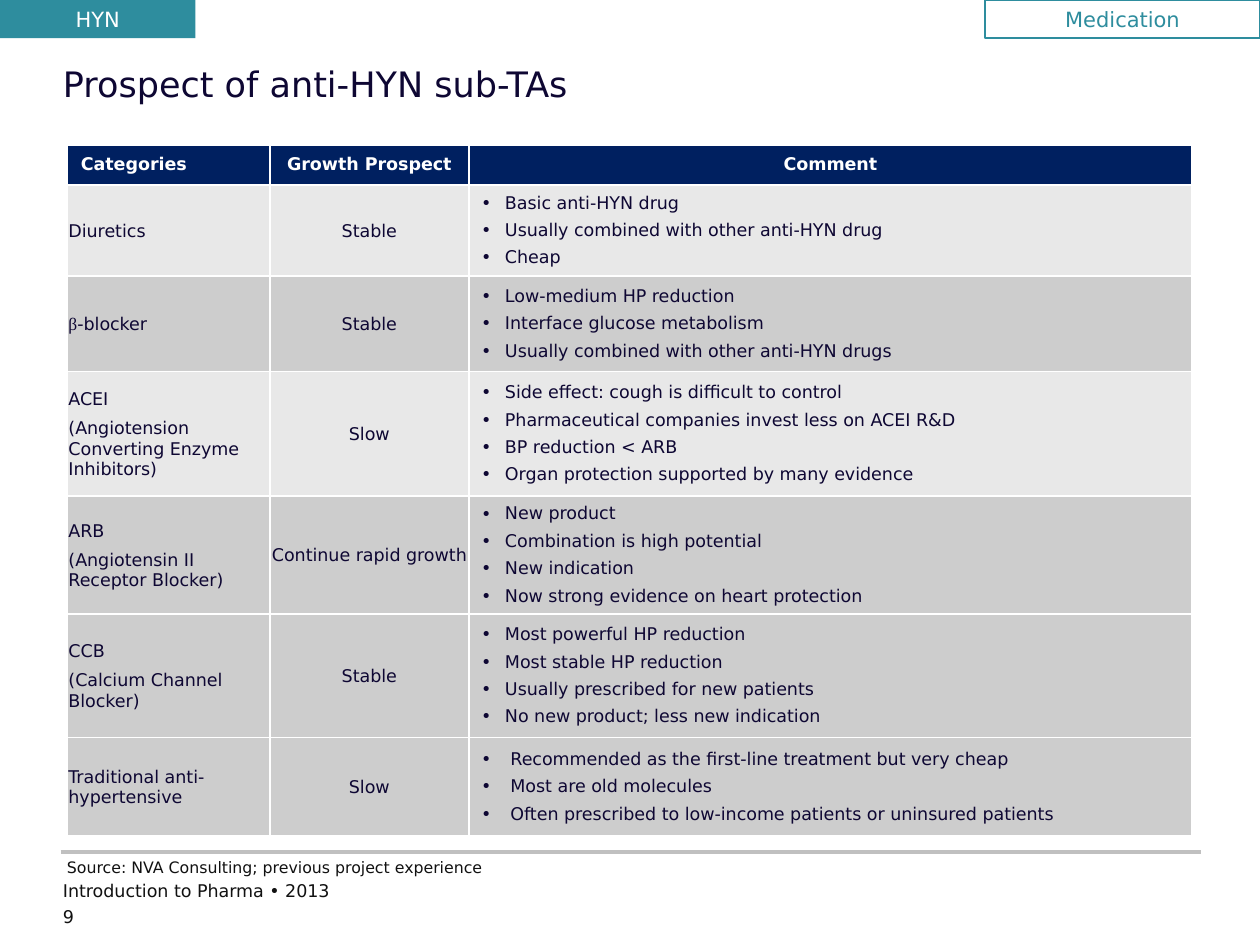
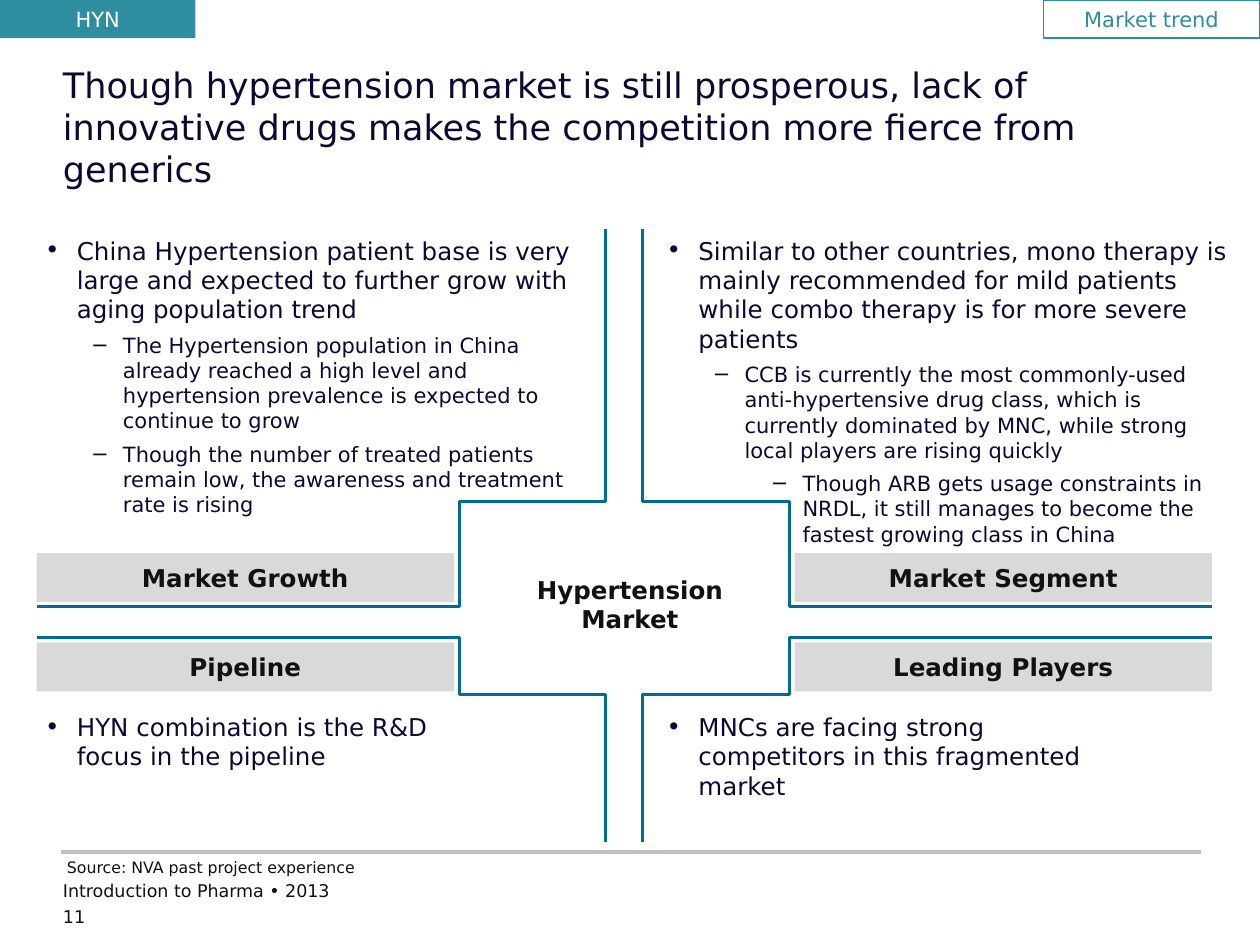
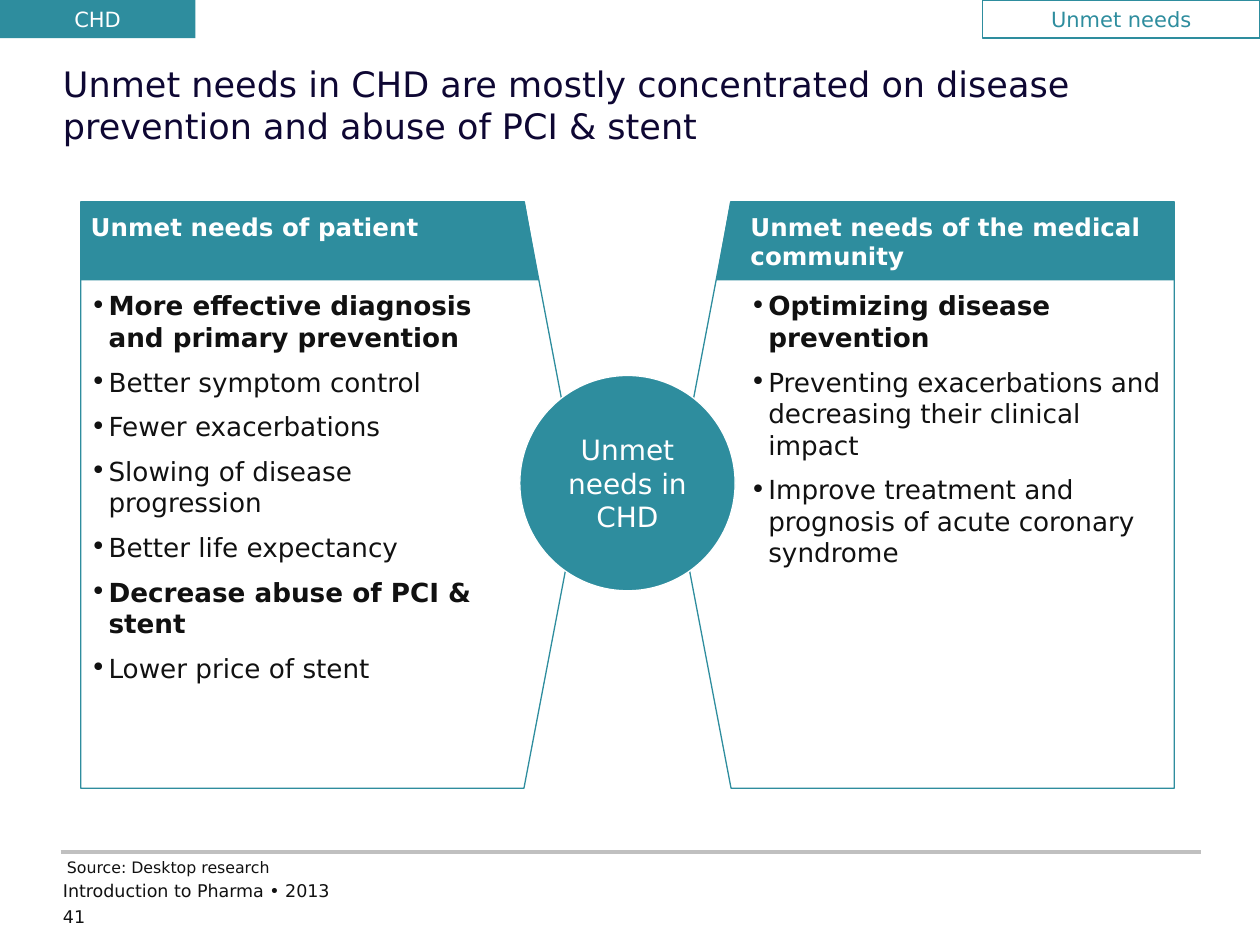
import dataclasses

import lxml.etree
import pptx
import pptx.dml.color
import pptx.enum.shapes
import pptx.enum.text
import pptx.oxml.ns
import pptx.util

Cm = pptx.util.Cm
Shapes = pptx.enum.shapes.MSO_SHAPE
Align = pptx.enum.text.PP_ALIGN
Anchor = pptx.enum.text.MSO_ANCHOR
qn = pptx.oxml.ns.qn


@dataclasses.dataclass(frozen=True)
class Theme:
    font: str = "DejaVu Sans"
    symbol_font: str = "Times New Roman"
    ink: str = "111111"
    navy: str = "0E0733"
    teal: str = "2E8D9E"
    frame: str = "006C96"
    header: str = "002060"
    row_light: str = "E8E8E8"
    row_dark: str = "CDCDCD"
    label: str = "D9D9D9"
    rule: str = "C0C0C0"
    white: str = "FFFFFF"
    title_size: float = 20
    hub_size: float = 16
    needs_size: float = 15
    point_size: float = 14
    detail_size: float = 12
    table_size: float = 10
    source_size: float = 9


THEME = Theme()


@dataclasses.dataclass(frozen=True)
class Box:
    """A rectangle in centimetres."""
    left: float
    top: float
    width: float
    height: float

    @property
    def right(self):
        return self.left + self.width

    def inner(self, dx, dy, width, height):
        return Box(self.left + dx, self.top + dy, width, height)

    def emu(self):
        return [Cm(v) for v in (self.left, self.top, self.width, self.height)]


@dataclasses.dataclass(frozen=True)
class Line:
    """One paragraph; margin and hang are in centimetres, gap in points."""
    text: str
    size: float
    color: str = THEME.ink
    bold: bool = False
    align: Align = Align.LEFT
    marker: str = ""
    marker_color: str = THEME.ink
    margin: float = 0
    hang: float = 0
    level: int = 0
    gap: float = 0
    symbol: str = ""


PAGE = Box(0, 0, 25.4, 19.05)
CONTENT = Box(1.35, 2.92, 22.68, 13.92)


def rgb(color):
    return pptx.dml.color.RGBColor.from_string(color)


def set_marker(paragraph, line):
    properties = paragraph._p.get_or_add_pPr()
    properties.set("marL", str(Cm(line.margin)))
    properties.set("indent", str(-Cm(line.hang)))
    color = lxml.etree.SubElement(properties, qn("a:buClr"))
    lxml.etree.SubElement(color, qn("a:srgbClr"), val=line.marker_color)
    lxml.etree.SubElement(properties, qn("a:buFont"), typeface=THEME.font)
    lxml.etree.SubElement(properties, qn("a:buChar"), char=line.marker)


def write(frame, lines):
    for index, line in enumerate(lines):
        paragraph = frame.add_paragraph() if index else frame.paragraphs[0]
        paragraph.text = line.symbol or line.text
        if line.symbol:
            paragraph.add_run().text = line.text
        if line.marker:
            set_marker(paragraph, line)
        paragraph.alignment = line.align
        paragraph.level = line.level
        paragraph.space_before = pptx.util.Pt(line.gap if index else 0)
        for run in paragraph.runs:
            run.font.name = THEME.font
            run.font.size = pptx.util.Pt(line.size)
            run.font.bold = line.bold
            run.font.color.rgb = rgb(line.color)
        if line.symbol:
            paragraph.runs[0].font.name = THEME.symbol_font


def set_margins(holder, left, top, right, bottom):
    holder.margin_left, holder.margin_top = Cm(left), Cm(top)
    holder.margin_right, holder.margin_bottom = Cm(right), Cm(bottom)


def add_text(slide, box, lines, inset=0, wrap=True):
    frame = slide.shapes.add_textbox(*box.emu()).text_frame
    frame.word_wrap = wrap
    set_margins(frame, inset, inset, inset, inset)
    write(frame, lines)


def paint(shape, fill=None, outline=None, weight=0.75):
    shape.shadow.inherit = False
    if fill:
        shape.fill.solid()
        shape.fill.fore_color.rgb = rgb(fill)
    else:
        shape.fill.background()
    if outline:
        shape.line.color.rgb = rgb(outline)
        shape.line.width = pptx.util.Pt(weight)
    else:
        shape.line.fill.background()


def add_block(slide, kind, box, line=None, fill=None, outline=None, inset=0.1):
    block = slide.shapes.add_shape(kind, *box.emu())
    paint(block, fill, outline)
    if line:
        frame = block.text_frame
        frame.word_wrap = True
        frame.vertical_anchor = Anchor.MIDDLE
        set_margins(frame, inset, inset, inset, inset)
        write(frame, [line])
    return block


def add_outline(slide, points, closed, **style):
    (x, y), *rest = [(Cm(px), Cm(py)) for px, py in points]
    builder = slide.shapes.build_freeform(x, y)
    builder.add_line_segments(rest, close=closed)
    paint(builder.convert_to_shape(), **style)


def centred(text, size, color=THEME.ink, bold=False):
    return Line(text, size, color, bold, Align.CENTER)


def add_footer(slide, box, source, source_width, number):
    rule = slide.shapes.add_connector(
        pptx.enum.shapes.MSO_CONNECTOR.STRAIGHT,
        Cm(box.left), Cm(box.top), Cm(box.right), Cm(box.top))
    rule.line.color.rgb = rgb(THEME.rule)
    rule.line.width = pptx.util.Pt(2)
    lxml.etree.SubElement(rule._element.spPr, qn("a:effectLst"))
    add_text(slide, box.inner(0.13, 0.13, source_width, 0.38),
             [Line(source, THEME.source_size)], wrap=False)
    add_text(slide, box.inner(0.05, 0.58, 16.97, 0.58),
             [Line("Introduction to Pharma • 2013", THEME.table_size)])
    add_text(slide, box.inner(0.05, 1.09, 1.22, 0.51),
             [Line(number, THEME.table_size)])


def new_slide(deck, section, topic, topic_width, title, source, source_width, number):
    """Add a slide with the parts that all slides share."""
    slide = deck.slides.add_slide(deck.slide_layouts[6])
    add_block(slide, Shapes.RECTANGLE, PAGE.inner(0, 0, 3.94, 0.77),
              centred(section, THEME.detail_size, THEME.white), THEME.teal)
    add_block(slide, Shapes.RECTANGLE,
              PAGE.inner(PAGE.width - topic_width, 0, topic_width, 0.77),
              centred(topic, THEME.detail_size, THEME.teal), outline=THEME.teal)
    add_text(slide, PAGE.inner(1.27, 1.27, 22.86, 2.54),
             [Line(title, THEME.title_size, THEME.navy)])
    add_footer(slide, PAGE.inner(1.22, 17.17, 22.99, 1.7),
               source, source_width, number)
    return slide


def style_cell(cell, lines, fill, margins):
    cell.fill.solid()
    cell.fill.fore_color.rgb = rgb(fill)
    cell.vertical_anchor = Anchor.MIDDLE
    set_margins(cell, *margins)
    write(cell.text_frame, lines)
    properties = cell._tc.get_or_add_tcPr()
    for index, side in enumerate(("lnL", "lnR", "lnT", "lnB")):
        border = lxml.etree.Element(qn("a:" + side), w=str(pptx.util.Pt(1)))
        solid = lxml.etree.SubElement(border, qn("a:solidFill"))
        lxml.etree.SubElement(solid, qn("a:srgbClr"), val=THEME.white)
        properties.insert(index, border)


# Row height, category lines, prospect, comments, fill, comment margin
PROSPECTS = [
    (1.83, ["Diuretics"], "Stable",
     ["Basic anti-HYN drug", "Usually combined with other anti-HYN drug", "Cheap"],
     THEME.row_light, 0.48),
    (1.93, ["β-blocker"], "Stable",
     ["Low-medium HP reduction", "Interface glucose metabolism",
      "Usually combined with other anti-HYN drugs"],
     THEME.row_dark, 0.48),
    (2.51, ["ACEI", "(Angiotension Converting Enzyme Inhibitors)"], "Slow",
     ["Side effect: cough is difficult to control",
      "Pharmaceutical companies invest less on ACEI R&D",
      "BP reduction < ARB", "Organ protection supported by many evidence"],
     THEME.row_light, 0.48),
    (2.37, ["ARB", "(Angiotensin II Receptor Blocker)"], "Continue rapid growth",
     ["New product", "Combination is high potential", "New indication",
      "Now strong evidence on heart protection"],
     THEME.row_dark, 0.48),
    (2.49, ["CCB", "(Calcium Channel Blocker)"], "Stable",
     ["Most powerful HP reduction", "Most stable HP reduction",
      "Usually prescribed for new patients", "No new product; less new indication"],
     THEME.row_dark, 0.48),
    (1.98, ["Traditional anti-hypertensive"], "Slow",
     ["Recommended as the first-line treatment but very cheap",
      "Most are old molecules",
      "Often prescribed to low-income patients or uninsured patients"],
     THEME.row_dark, 0.59),
]


def category_line(text):
    symbol = "β" if text.startswith("β") else ""
    return Line(text.removeprefix("β"), THEME.table_size, THEME.navy,
                gap=THEME.table_size / 2, symbol=symbol)


def add_prospect_table(slide, box):
    size = THEME.table_size
    table = slide.shapes.add_table(len(PROSPECTS) + 1, 3, *box.emu()).table
    for column, width in zip(table.columns, (4.09, 4.01, 14.58)):
        column.width = Cm(width)
    table.rows[0].height = Cm(0.81)
    headings = [("Categories", Align.LEFT), ("Growth Prospect", Align.CENTER),
                ("Comment", Align.CENTER)]
    for column, (heading, align) in enumerate(headings):
        style_cell(table.cell(0, column),
                   [Line(heading, size, THEME.white, True, align)],
                   THEME.header, (0.28, 0.13, 0.28, 0.13))
    for row, (height, category, prospect, comments, fill, margin) in enumerate(PROSPECTS, 1):
        table.rows[row].height = Cm(height)
        tight = (0.03, 0.03, 0.03, 0)
        style_cell(table.cell(row, 0), [category_line(t) for t in category], fill, tight)
        style_cell(table.cell(row, 1), [centred(prospect, size, THEME.navy)], fill, tight)
        style_cell(table.cell(row, 2),
                   [Line(comment, size, THEME.navy, marker="•",
                         marker_color=THEME.navy, margin=margin, hang=margin, gap=4)
                    for comment in comments],
                   fill, (0.25, 0.13, 0.03, 0.13))


def point(text):
    return Line(text, THEME.point_size, THEME.navy, marker="•",
                marker_color=THEME.navy, margin=0.64, hang=0.64)


def detail(text, margin=1.57):
    return Line(text, THEME.detail_size, THEME.navy, marker="−", margin=margin,
                hang=0.64, level=1, gap=THEME.detail_size * 0.4)


# Label, side (-1 left, 1 right), is upper, text width, text height, lines
QUADRANTS = [
    ("Market Growth", -1, True, 10.64, 4.98, [
        point("China Hypertension patient base is very large and expected to "
              "further grow with aging population trend"),
        detail("The Hypertension population in China already reached a high level "
               "and hypertension prevalence is expected to continue to grow"),
        detail("Though the number of treated patients remain low, the awareness "
               "and treatment rate is rising")]),
    ("Market Segment", 1, True, 11.33, 6.81, [
        point("Similar to other countries, mono therapy is mainly recommended for "
              "mild patients while combo therapy is for more severe patients"),
        detail("CCB is currently the most commonly-used anti-hypertensive drug "
               "class, which is currently dominated by MNC, while strong local "
               "players are rising quickly"),
        detail("Though ARB gets usage constraints in NRDL, it still manages to "
               "become the fastest growing class in China", 2.74)]),
    ("Pipeline", -1, False, 8.92, 2.57,
     [point("HYN combination is the R&D focus in the pipeline")]),
    ("Leading Players", 1, False, 8.92, 2.57,
     [point("MNCs are facing strong competitors in this fragmented market")]),
]


def add_quadrant(slide, box, label, side, upper, width, height, lines):
    """Draw a stepped frame line, its label bar and its text."""
    centre = box.left + box.width / 2
    arm, step, end, label_dy, text_dy = (
        (7.6, 5.49, 0, 6.53, 0.13) if upper else (8.24, 9.38, 12.35, 8.33, 9.73))
    steps = [(box.width / 2, arm), (3.33, arm), (3.33, step), (0.37, step), (0.37, end)]
    add_outline(slide, [(centre + side * dx, box.top + dy) for dx, dy in steps],
                closed=False, outline=THEME.frame, weight=1.75)
    label_width = 8.41
    add_block(slide, Shapes.RECTANGLE,
              box.inner(0 if side < 0 else box.width - label_width,
                        label_dy, label_width, 0.99),
              centred(label, THEME.point_size, bold=True), THEME.label)
    add_text(slide, box.inner(0.17 if side < 0 else 12.7, text_dy, width, height), lines)


def add_market_cross(slide, box):
    for quadrant in QUADRANTS:
        add_quadrant(slide, box, *quadrant)
    add_text(slide, box.inner(9.47, 6.84, 4.98, 1.35),
             [centred("Hypertension Market", THEME.point_size, bold=True)], inset=0.13)


# Heading, then needs with their emphasis
PATIENT_NEEDS = ("Unmet needs of patient", [
    ("More effective diagnosis and primary prevention", True),
    ("Better symptom control", False),
    ("Fewer exacerbations", False),
    ("Slowing of disease progression", False),
    ("Better life expectancy", False),
    ("Decrease abuse of PCI & stent", True),
    ("Lower price of stent", False)])
MEDICAL_NEEDS = ("Unmet needs of the medical community", [
    ("Optimizing disease prevention", True),
    ("Preventing exacerbations and decreasing their clinical impact", False),
    ("Improve treatment and prognosis of acute coronary syndrome", False)])


def add_needs_panel(slide, box, heading, needs, mirrored=False):
    """Draw a panel pointing right, or left when mirrored."""
    panel = add_block(slide, Shapes.PENTAGON, box, fill=THEME.white, outline=THEME.teal)
    panel.adjustments[0] = 0.112
    panel.rotation = 180 if mirrored else 0
    header_height, text_width = 1.57, 8.74
    corners = [(0, 0), (8.94, 0), (9.22, header_height), (0, header_height)]
    add_outline(slide,
                [(box.right - dx if mirrored else box.left + dx, box.top + dy)
                 for dx, dy in corners],
                closed=True, fill=THEME.teal, outline=THEME.teal)
    text_dx = box.width - text_width if mirrored else 0
    add_text(slide, box.inner(text_dx, 0, text_width, header_height),
             [Line(heading, THEME.point_size, THEME.white, True)], inset=0.2)
    add_text(slide, box.inner(text_dx, header_height, text_width, 8.74),
             [Line(need, THEME.needs_size, bold=bold, marker="•", margin=0.36,
                   hang=0.36, gap=THEME.needs_size / 2) for need, bold in needs],
             inset=0.2)


def add_unmet_needs(slide, box):
    panel_width, hub = 10.06, 4.34
    add_needs_panel(slide, box.inner(0, 0, panel_width, box.height), *PATIENT_NEEDS)
    add_needs_panel(slide, box.inner(box.width - panel_width, 0, panel_width, box.height),
                    *MEDICAL_NEEDS, mirrored=True)
    add_block(slide, Shapes.OVAL,
              box.inner((box.width - hub) / 2, 3.5, hub, hub),
              centred("Unmet needs in CHD", THEME.hub_size, THEME.white),
              THEME.teal, THEME.white)


def main():
    deck = pptx.Presentation()
    deck.slide_width, deck.slide_height = Cm(PAGE.width), Cm(PAGE.height)

    medication = new_slide(
        deck, "HYN", "Medication", 5.54, "Prospect of anti-HYN sub-TAs",
        "Source: NVA Consulting; previous project experience", 8.56, "9")
    add_prospect_table(medication, CONTENT)

    trend = new_slide(
        deck, "HYN", "Market trend", 4.37,
        "Though hypertension market is still prosperous, lack of innovative drugs "
        "makes the competition more fierce from generics",
        "Source: NVA past project experience", 5.92, "11")
    add_market_cross(trend, Box(0.74, 4.62, 23.69, 12.35))

    needs = new_slide(
        deck, "CHD", "Unmet needs", 5.59,
        "Unmet needs in CHD are mostly concentrated on disease prevention and "
        "abuse of PCI & stent", "Source: Desktop research", 4.19, "41")
    add_unmet_needs(needs, Box(1.63, 4.07, 22.04, 11.82))

    deck.save("out.pptx")


if __name__ == "__main__":
    main()
